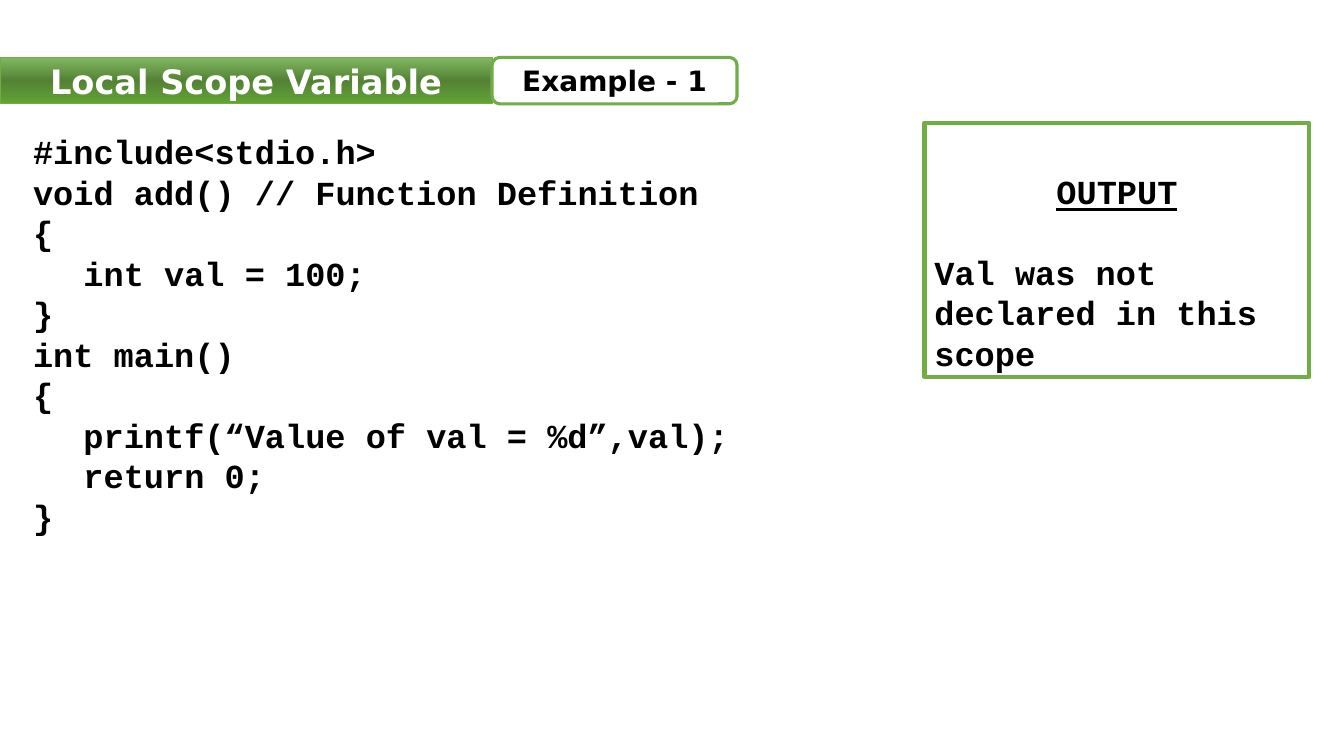
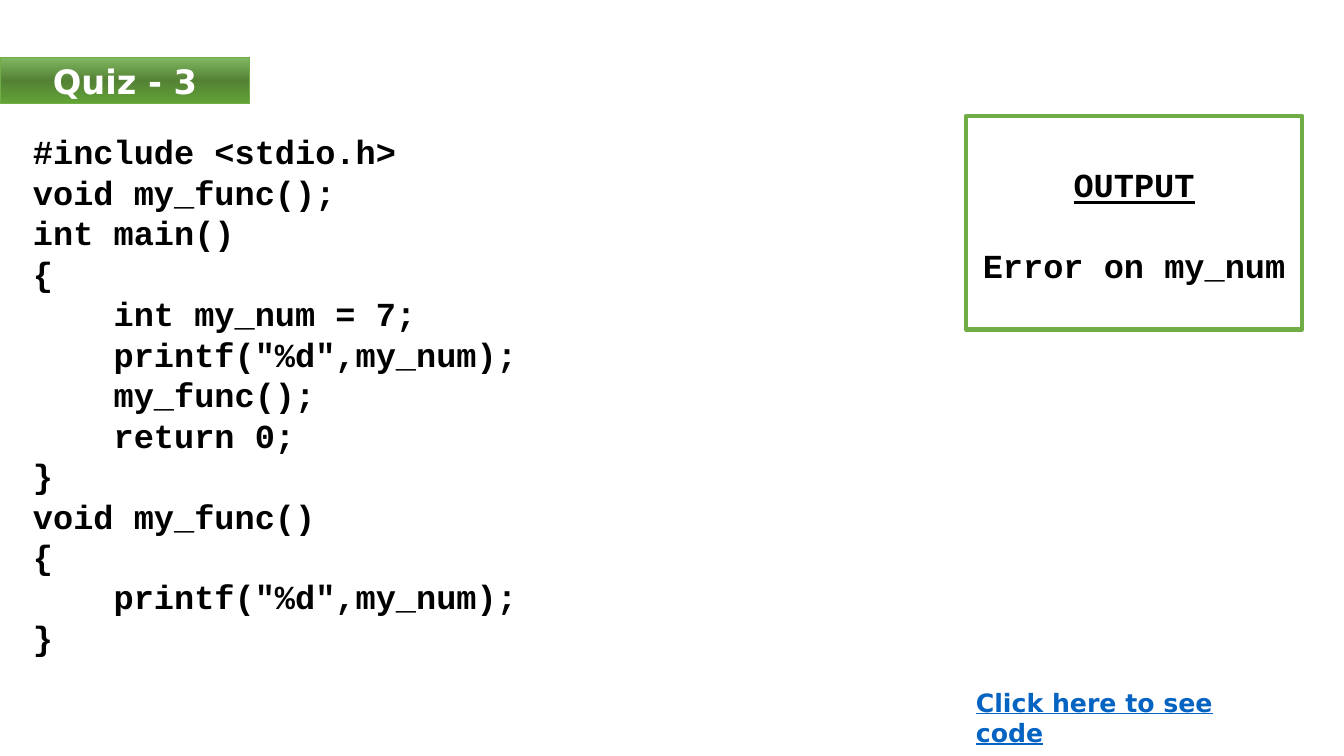
"""Build two slides on local variable scope, each with code and its output."""
import copy
import dataclasses

import pptx
import pptx.dml.color
import pptx.enum.shapes
import pptx.enum.text
import pptx.oxml.ns
import pptx.util

Pt = pptx.util.Pt
Align = pptx.enum.text.PP_ALIGN
Anchor = pptx.enum.text.MSO_ANCHOR
Shape = pptx.enum.shapes.MSO_SHAPE


@dataclasses.dataclass(frozen=True)
class Theme:
    """Colours, fonts and sizes shared by the slides."""
    green: str = "70AD47"
    gradient: tuple = ((0, "81B861"), (0.5, "548235"), (1, "62A336"))
    white: str = "FFFFFF"
    black: str = "000000"
    link: str = "0563C1"
    code_font: str = "Courier New"
    label_font: str = "DejaVu Sans"
    large: float = 24
    medium: float = 20
    small: float = 18
    code_pitch: float = 28.9
    code_indent: float = 36
    band_top: float = 41
    band_height: float = 33.2


THEME = Theme()


def colour(value):
    """Return the colour object for a hex value."""
    return pptx.dml.color.RGBColor.from_string(value)


def write(para, text, *, font=THEME.label_font, size=THEME.large, ink=THEME.black,
          align=Align.LEFT, underline=False, pitch=None, after=0, indent=0):
    """Write bold text in a paragraph with the given format."""
    para.alignment = align
    para.space_after = Pt(after)
    if pitch:
        para.line_spacing = Pt(pitch)
    if indent:
        para._p.get_or_add_pPr().set("marL", str(Pt(indent)))
    span = para.add_run()
    span.text = text
    span.font.name = font
    span.font.size = Pt(size)
    span.font.bold = True
    span.font.underline = underline
    span.font.color.rgb = colour(ink)


class Lesson:
    """The deck style together with the current page."""

    def __init__(self, theme):
        """Start an empty wide deck."""
        self.theme = theme
        self.deck = pptx.Presentation()
        self.deck.slide_width, self.deck.slide_height = Pt(960), Pt(540)
        self.page = None

    def new_page(self):
        """Add a blank page and make it current."""
        self.page = self.deck.slides.add_slide(self.deck.slide_layouts[6])

    def shape(self, kind, left, top, width, height, line_width):
        """Add a white shape with a green outline."""
        box = self.page.shapes.add_shape(kind, Pt(left), Pt(top), Pt(width), Pt(height))
        box.shadow.inherit = False
        box.fill.solid()
        box.fill.fore_color.rgb = colour(self.theme.white)
        box.line.color.rgb = colour(self.theme.green)
        box.line.width = Pt(line_width)
        box.text_frame.word_wrap = True
        box.text_frame.vertical_anchor = Anchor.MIDDLE
        return box

    def text_box(self, left, top, width, height):
        """Add a wrapping text box and return its frame."""
        box = self.page.shapes.add_textbox(Pt(left), Pt(top), Pt(width), Pt(height))
        box.text_frame.word_wrap = True
        return box.text_frame

    def title(self, text, width):
        """Add the gradient title band at the left edge."""
        theme = self.theme
        box = self.shape(Shape.RECTANGLE, 0, theme.band_top, width, theme.band_height, 0.5)
        box.fill.gradient()
        box.fill.gradient_angle = 270
        stop_list = next(box._element.spPr.iter(pptx.oxml.ns.qn("a:gsLst")))
        stop_list.append(copy.deepcopy(stop_list[0]))
        for stop, (position, value) in zip(box.fill.gradient_stops, theme.gradient):
            stop.position = position
            stop.color.rgb = colour(value)
        write(box.text_frame.paragraphs[0], text, ink=theme.white, align=Align.CENTER)

    def tag(self, text, left, width):
        """Add the rounded tag beside the title band."""
        theme = self.theme
        box = self.shape(Shape.ROUNDED_RECTANGLE, left, theme.band_top, width,
                         theme.band_height, 2.25)
        write(box.text_frame.paragraphs[0], text, size=theme.medium, align=Align.CENTER)

    def code(self, listing, width):
        """Add a code listing, turning leading tabs into indents."""
        theme = self.theme
        lines = listing.strip().split("\n")
        frame = self.text_box(16.5, 90, width, len(lines) * theme.code_pitch + 7.2)
        for number, line in enumerate(lines):
            para = frame.add_paragraph() if number else frame.paragraphs[0]
            write(para, line.lstrip("\t"), font=theme.code_font, pitch=theme.code_pitch,
                  indent=theme.code_indent * line.count("\t"))

    def output(self, text, left, top, width, height, align):
        """Add the framed output box with its heading."""
        theme = self.theme
        box = self.shape(Shape.RECTANGLE, left, top, width, height, 3)
        frame = box.text_frame
        frame.vertical_anchor = Anchor.TOP
        frame.margin_top = Pt(34)
        write(frame.paragraphs[0], "OUTPUT", font=theme.code_font, align=Align.CENTER,
              underline=True, pitch=theme.code_pitch, after=theme.code_pitch)
        write(frame.add_paragraph(), text, font=theme.code_font, align=align,
              pitch=theme.code_pitch)

    def prompt(self, text, left, top, width, height):
        """Add underlined text in the link colour."""
        frame = self.text_box(left, top, width, height)
        write(frame.paragraphs[0], text, size=self.theme.small, ink=self.theme.link,
              underline=True)


SCOPE_CODE = """
#include<stdio.h>
void add() // Function Definition
{
\tint val = 100;
}
int main()
{
\tprintf(“Value of val = %d”,val);
\treturn 0;
}
"""

QUIZ_CODE = """
#include <stdio.h>
void my_func();
int main()
{
    int my_num = 7;
    printf("%d",my_num);
    my_func();
    return 0;
}
void my_func()
{
    printf("%d",my_num);
}
"""


def main():
    """Build both pages and save the deck."""
    lesson = Lesson(THEME)

    lesson.new_page()
    lesson.code(SCOPE_CODE, 644)
    lesson.title("Local Scope Variable", 351.5)
    lesson.tag("Example - 1", 351.5, 175)
    lesson.output("Val was not declared in this scope", 660.3, 87.8, 275, 181.5, Align.LEFT)

    lesson.new_page()
    lesson.code(QUIZ_CODE, 492.5)
    lesson.title("Quiz - 3", 178.5)
    lesson.prompt("Click here to see code", 690, 487.5, 237.5, 29)
    lesson.output("Error on my_num", 690, 82.8, 240, 152.6, Align.CENTER)

    lesson.deck.save("out.pptx")


if __name__ == "__main__":
    main()
